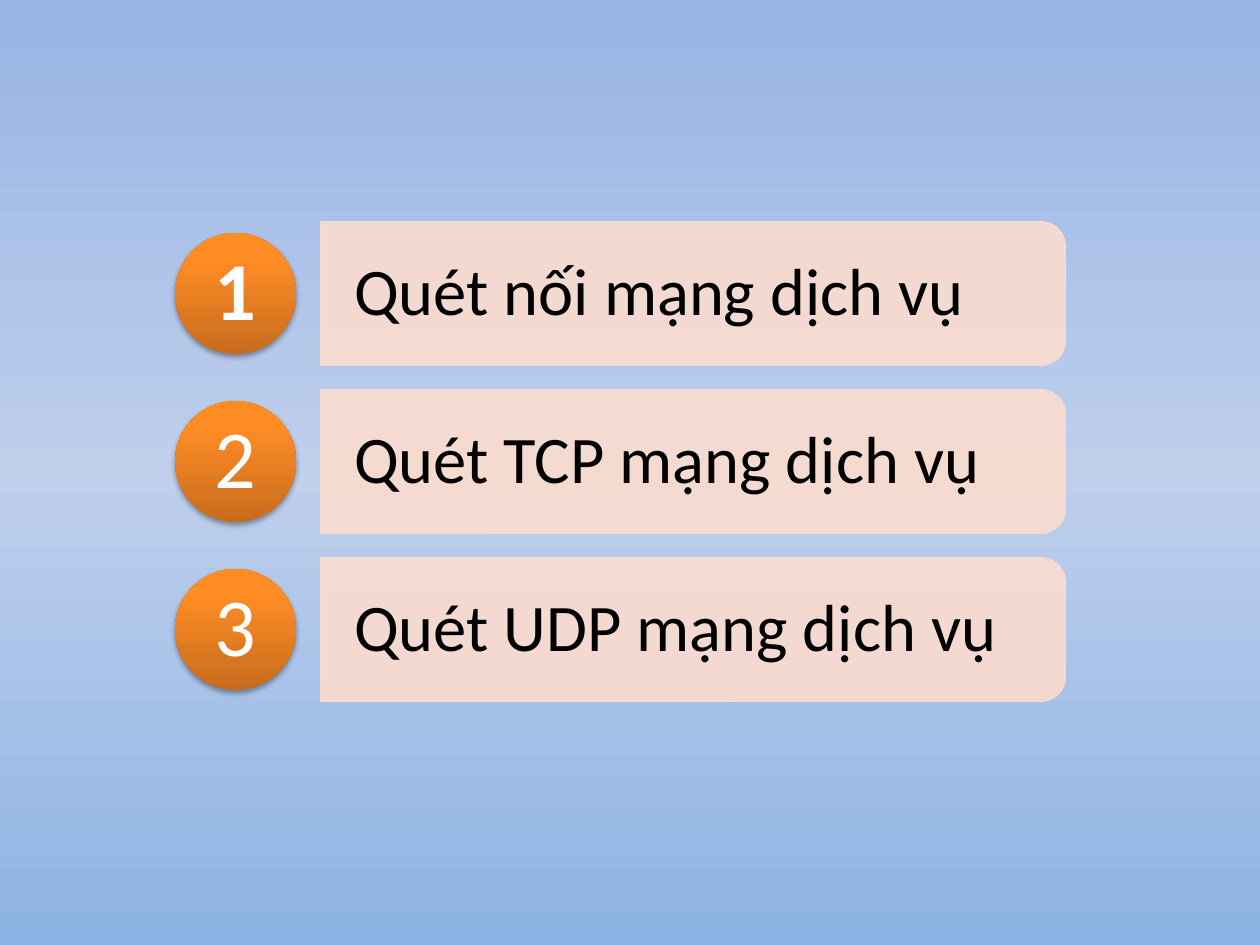
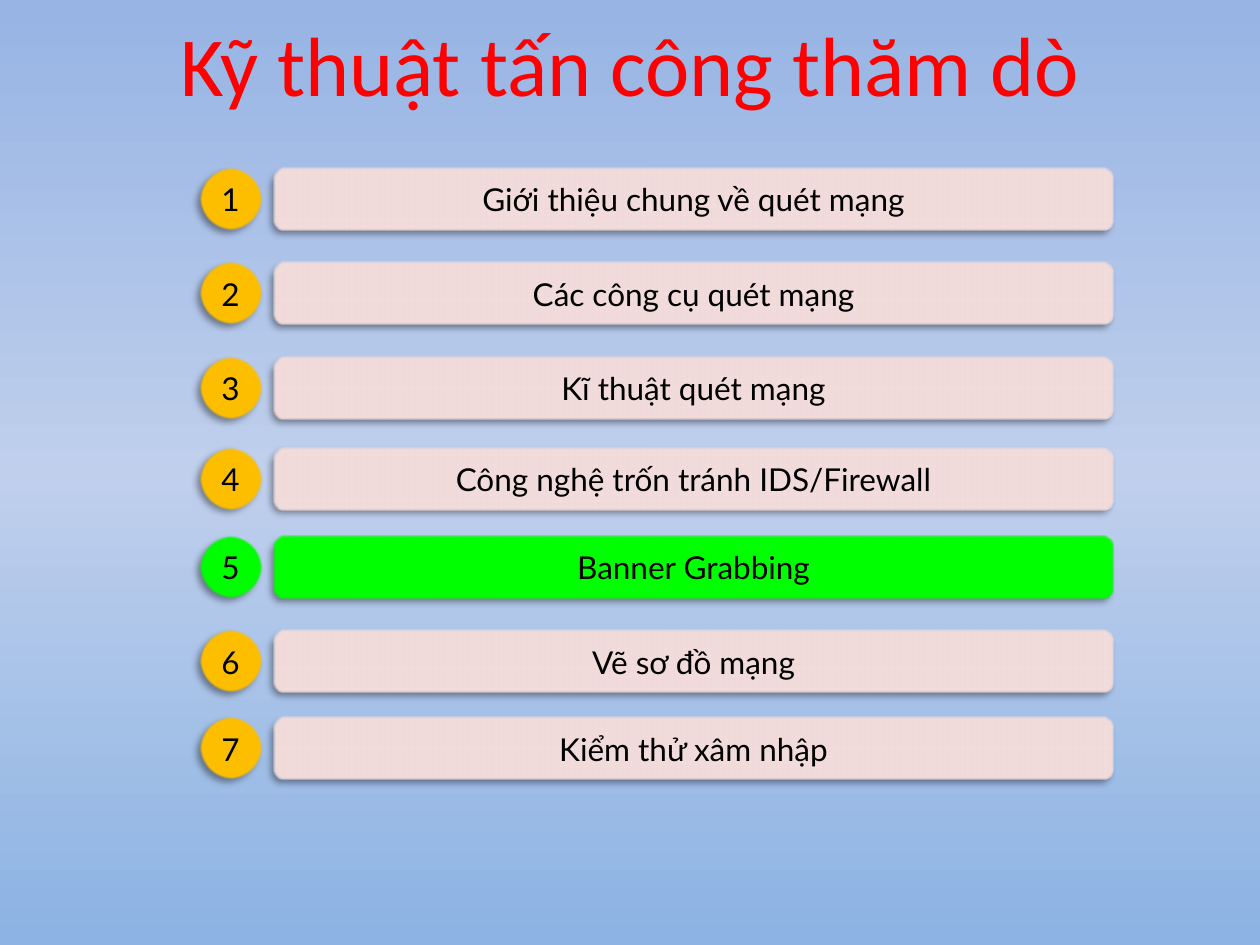
"""Builds two slides about network scanning techniques."""
from pptx import Presentation, util as u
from pptx.dml.color import RGBColor
from pptx.enum import shapes, text
from pptx.oxml import parse_xml
from pptx.oxml.ns import nsdecls, qn

SHAPE = shapes.MSO_SHAPE
CENTER = text.PP_ALIGN.CENTER
BLACK, WHITE, RED, GREEN = "000000", "FFFFFF", "FF0000", "00FF00"
PEACH, ROSE, AMBER = "FBDCCE", "F2DCDB", "FFC000"
SKY = [(0, "97B4E4"), (50, "BFCFEC"), (100, "8CB3E3")]
ORANGE = [(0, "C86B1D"), (80, "FF8D25"), (100, "FF8D22")]


def color(value):
    return RGBColor.from_string(value)


def element(markup):
    return parse_xml(markup.replace(" ", f" {nsdecls('a')} ", 1))


def centered(center, middle, width, height):
    return center - width / 2, middle - height / 2, width, height


class Deck:
    """Holds the shared style and the current slide."""

    def __init__(self):
        self.prs = Presentation()
        self.prs.slide_width, self.prs.slide_height = u.Inches(10), u.Inches(7.5)
        master = self.prs.slide_master
        self.gradient(master.background.fill, master.element, SKY, 270)

    def new_slide(self, title=None):
        layout = self.prs.slide_layouts[5 if title else 6]
        self.slide = self.prs.slides.add_slide(layout)
        if title:
            heading = self.slide.shapes.title
            heading.left, heading.top = u.Inches(0), u.Inches(0.05)
            heading.width, heading.height = u.Inches(10), u.Inches(0.91)
            self.add_words(heading, title, 48, RED, anchor=text.MSO_ANCHOR.TOP)

    def gradient(self, fill, root, stops, angle):
        fill.gradient()
        fill.gradient_angle = angle
        stop_list = next(root.iter(qn("a:gsLst")))
        stop_list.clear()
        for position, value in stops:
            stop_list.append(element(
                f'<a:gs pos="{position * 1000}"><a:srgbClr val="{value}"/></a:gs>'))

    def add_words(self, shape, words, size, ink, font="Calibri", align=CENTER, bold=False,
                  spacing=None, insets=None, anchor=text.MSO_ANCHOR.MIDDLE):
        frame = shape.text_frame
        frame.word_wrap = True
        frame.vertical_anchor = anchor
        if insets:
            frame.margin_left = frame.margin_right = u.Inches(insets[0])
            frame.margin_top = frame.margin_bottom = u.Inches(insets[1])
        paragraph = frame.paragraphs[0]
        paragraph.alignment = align
        paragraph.line_spacing = spacing
        run = paragraph.add_run()
        run.text = words
        run.font.name, run.font.size, run.font.bold = font, u.Pt(size), bold
        run.font.color.rgb = color(ink)

    def label(self, box, words, size, ink, insets=(0, 0), **style):
        textbox = self.slide.shapes.add_textbox(*map(u.Inches, box))
        self.add_words(textbox, words, size, ink, spacing=0.9, insets=insets, **style)

    def shape(self, kind, box, fill, line=None, alpha=None):
        shape = self.slide.shapes.add_shape(kind, *map(u.Inches, box))
        shape.shadow.inherit = False
        if isinstance(fill, list):
            self.gradient(shape.fill, shape.element, fill, 90)
        else:
            shape.fill.solid()
            shape.fill.fore_color.rgb = color(fill)
        if line:
            shape.line.color.rgb = color(line)
            shape.line.width = u.Pt(0.75)
        else:
            shape.line.fill.background()
        if alpha:
            for tint in shape.element.spPr.iter(qn("a:srgbClr")):
                tint.append(element(f'<a:alpha val="{alpha * 1000}"/>'))
        return shape

    def shadow(self, shape, alpha, blur, distance, angle, soft_edge=None):
        effects = shape.element.spPr.find(qn("a:effectLst"))
        effects.append(element(
            f'<a:outerShdw blurRad="{u.Pt(blur)}" dist="{u.Pt(distance)}" '
            f'dir="{angle * 60000}" rotWithShape="0"><a:srgbClr val="{BLACK}">'
            f'<a:alpha val="{alpha * 1000}"/></a:srgbClr></a:outerShdw>'))
        if soft_edge:
            effects.append(element(f'<a:softEdge rad="{u.Pt(soft_edge)}"/>'))

    def scan_row(self, number, words, middle):
        card = self.shape(SHAPE.ROUND_2_SAME_RECTANGLE, centered(5.5, middle, 1.14, 5.91),
                          PEACH, PEACH, 90)
        card.rotation = 90
        card.adjustments[0], card.adjustments[1] = 0.17, 0
        self.label(centered(5.47, middle, 5.86, 1.03), words, 38, BLACK, (0.27, 0.18),
                   align=text.PP_ALIGN.LEFT)
        badge = self.shape(SHAPE.OVAL, centered(1.87, middle, 0.96, 0.96), ORANGE)
        self.shadow(badge, 35, 3.1, 1.8, 90)
        self.label(centered(1.87, middle, 0.68, 0.68), str(number), 47, WHITE,
                   bold=number == 1)

    def agenda_row(self, number, words, top, current):
        parts = [(SHAPE.OVAL, 1.58, 0.5, AMBER, str(number)),
                 (SHAPE.ROUNDED_RECTANGLE, 2.17, 6.67, ROSE, words)]
        for kind, left, width, fill, caption in parts:
            part = self.shape(kind, (left, top, width, 0.5), GREEN if current else fill)
            self.shadow(part, 40, 4, 3, 135, soft_edge=1)
            self.add_words(part, caption, 18, BLACK, "Lato")


def main():
    deck = Deck()

    deck.new_slide()
    scans = ["Quét nối mạng dịch vụ", "Quét TCP mạng dịch vụ", "Quét UDP mạng dịch vụ"]
    for index, scan in enumerate(scans):
        deck.scan_row(index + 1, scan, 2.33 + index * 4 / 3)

    deck.new_slide("Kỹ thuật tấn công thăm dò")
    agenda = [
        ("Giới thiệu chung về quét mạng", 1.33),
        ("Các công cụ quét mạng", 2.08),
        ("Kĩ thuật quét mạng", 2.83),
        ("Công nghệ trốn tránh IDS/Firewall", 3.55),
        ("Banner Grabbing", 4.25),
        ("Vẽ sơ đồ mạng", 5),
        ("Kiểm thử xâm nhập", 5.69),
    ]
    for number, (topic, top) in enumerate(agenda, 1):
        deck.agenda_row(number, topic, top, current=number == 5)

    deck.prs.save("out.pptx")


if __name__ == "__main__":
    main()
